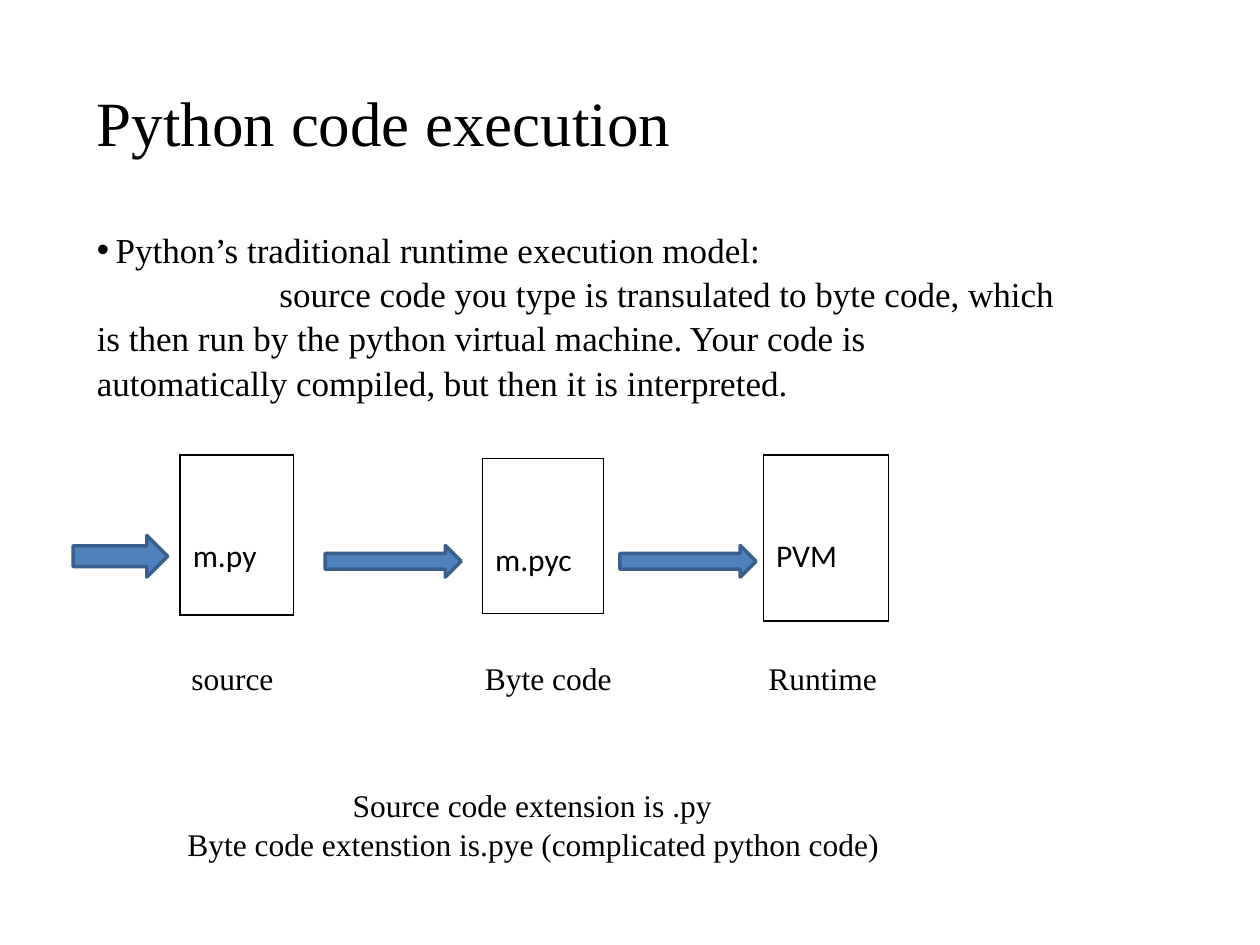
from lxml import etree
from pptx import Presentation
from pptx.dml.color import RGBColor
from pptx.enum.shapes import MSO_SHAPE
from pptx.oxml.ns import qn
from pptx.util import Inches, Pt

RIGHT_ARROW = MSO_SHAPE.RIGHT_ARROW
BLACK = RGBColor(0x00, 0x00, 0x00)
ARROW_FILL = RGBColor(0x4F, 0x81, 0xBD)
ARROW_LINE = RGBColor(0x3A, 0x5F, 0x8C)
SERIF, SANS = "Times New Roman", "Calibri"

# Paragraphs are (text, first-line indent in inches).
TITLE = [("Python code execution", 0)]
MODEL = [
    ("Python’s traditional runtime execution model:", 0),
    ("source code you type is transulated to byte code, which is then run by "
     "the python virtual machine. Your code is automatically compiled, but "
     "then it is interpreted.", 1.45),
]
EXTENSIONS = [
    ("Source code extension is .py", 1.37),
    ("Byte code extenstion is.pye (complicated python code)", 0.06),
]

# (file, left, top, width, height), (caption, left, width)
STAGES = [
    (("m.py", 1.43, 3.61, 0.9, 1.27), ("source", 1.42, 0.88)),
    (("m.pyc", 3.83, 3.64, 0.96, 1.23), ("Byte code", 3.75, 1.21)),
    (("PVM", 6.06, 3.61, 0.99, 1.32), ("Runtime", 6, 1.07)),
]
CAPTION_TOP, CAPTION_HEIGHT = 5.17, 0.4
ARROWS = [(0.58, 4.25, 0.75, 0.33), (2.58, 4.33, 1.08, 0.25), (4.92, 4.33, 1.08, 0.25)]


def inches(box):
    return [Inches(value) for value in box]


def style_paragraph(paragraph, font_name, size):
    for run in paragraph.runs:
        run.font.name = font_name
        run.font.size = Pt(size)
        run.font.color.rgb = BLACK


def add_text(slide, box, paragraphs, size, wrap=False):
    text_frame = slide.shapes.add_textbox(*inches(box)).text_frame
    text_frame.word_wrap = wrap
    text_frame.text = "\n".join(text for text, _ in paragraphs)
    for paragraph, (_, indent) in zip(text_frame.paragraphs, paragraphs):
        paragraph.line_spacing = 1.05
        style_paragraph(paragraph, SERIF, size)
        if indent:
            paragraph._p.get_or_add_pPr().set("indent", str(Inches(indent)))
    return text_frame


def add_bullet(paragraph, hang):
    properties = paragraph._p.get_or_add_pPr()
    properties.set("marL", str(Inches(hang)))
    properties.set("indent", str(-Inches(hang)))
    etree.SubElement(properties, qn("a:buFont"), typeface="Arial")
    etree.SubElement(properties, qn("a:buChar"), char="•")


def add_borders(cell):
    properties = cell._tc.get_or_add_tcPr()
    for index, side in enumerate(("a:lnL", "a:lnR", "a:lnT", "a:lnB")):
        line = etree.Element(qn(side), w=str(Pt(1)))
        fill = etree.SubElement(line, qn("a:solidFill"))
        etree.SubElement(fill, qn("a:srgbClr"), val=str(BLACK))
        properties.insert(index, line)


def add_stage_table(slide, text, box):
    table = slide.shapes.add_table(1, 1, *inches(box)).table
    table.first_row = False
    table.horz_banding = False
    cell = table.cell(0, 0)
    cell.text = text
    cell.margin_top = Inches(0.66)
    cell.fill.background()
    style_paragraph(cell.text_frame.paragraphs[0], SANS, 18)
    add_borders(cell)


def add_arrow(slide, box):
    arrow = slide.shapes.add_shape(RIGHT_ARROW, *inches(box))
    arrow.shadow.inherit = False
    arrow.fill.solid()
    arrow.fill.fore_color.rgb = ARROW_FILL
    arrow.line.color.rgb = ARROW_LINE
    arrow.line.width = Pt(2)


def main():
    presentation = Presentation()
    presentation.slide_width, presentation.slide_height = Inches(10), Inches(7.5)
    slide = presentation.slides.add_slide(presentation.slide_layouts[6])

    add_text(slide, (0.67, 0.58, 4.8, 0.71), TITLE, 36)
    model = add_text(slide, (0.67, 1.75, 7.83, 3.57), MODEL, 20, wrap=True)
    add_bullet(model.paragraphs[0], 0.15)

    for (text, *box), _ in STAGES:
        add_stage_table(slide, text, box)
    for box in ARROWS:
        add_arrow(slide, box)
    for _, (caption, left, width) in STAGES:
        add_text(slide, (left, CAPTION_TOP, width, CAPTION_HEIGHT), [(caption, 0)], 18)

    add_text(slide, (1.33, 6.17, 6.83, 0.71), EXTENSIONS, 18, wrap=True)
    presentation.save("out.pptx")


if __name__ == "__main__":
    main()
